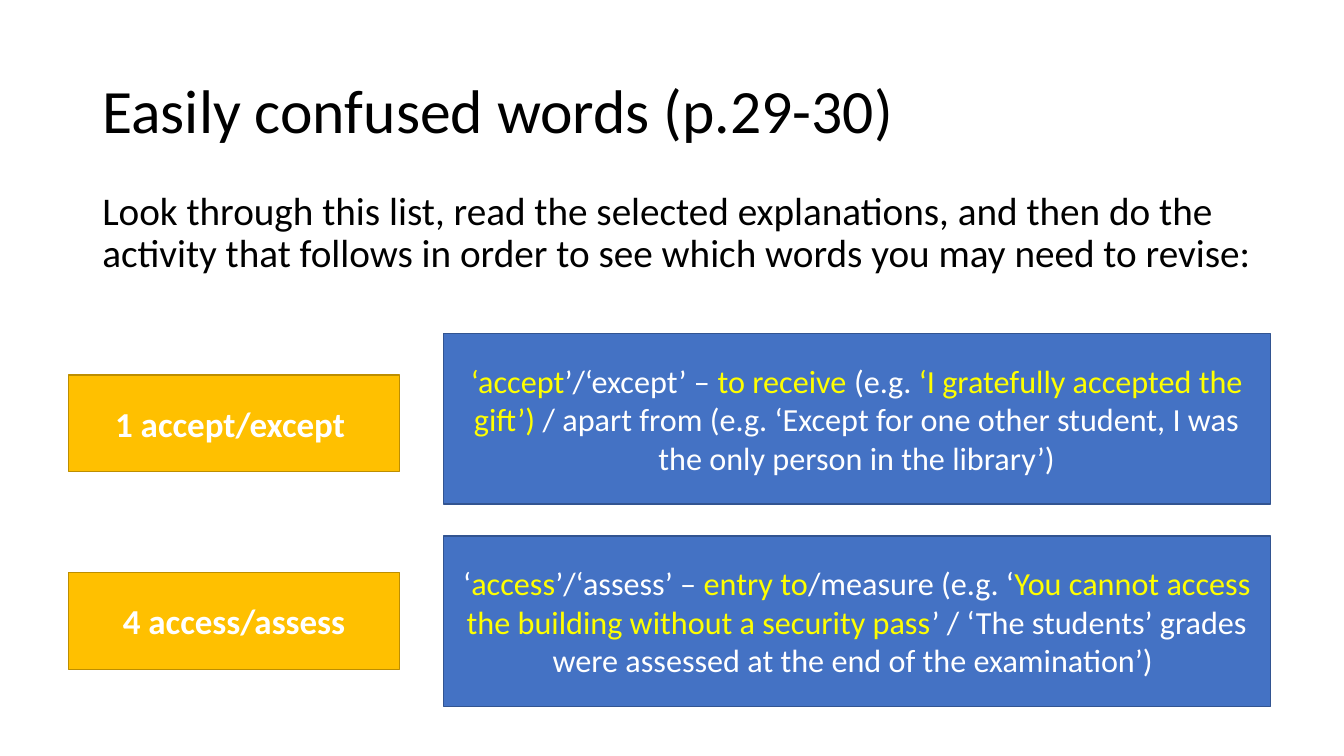
from pptx import Presentation
from pptx.dml.color import RGBColor
from pptx.enum.shapes import MSO_SHAPE
from pptx.enum.text import MSO_ANCHOR, PP_ALIGN
from pptx.util import Pt

RECTANGLE = MSO_SHAPE.RECTANGLE
TOP, MIDDLE = MSO_ANCHOR.TOP, MSO_ANCHOR.MIDDLE
LEFT, CENTER = PP_ALIGN.LEFT, PP_ALIGN.CENTER

FONT = "Calibri"
BLACK, WHITE, YELLOW = "000000", "FFFFFF", "FFFF00"
BLUE, DARK_BLUE = "4472C4", "325491"
AMBER, DARK_AMBER = "FFC000", "BD8E00"

# Each word pair: label, label top, explanation top, explanation runs
WORD_PAIRS = [
    ("1 accept/except ", 267.8, 238.3, [
        ("‘accept", YELLOW),
        ("’/‘except’ – ", WHITE),
        ("to receive ", YELLOW),
        ("(e.g. ", WHITE),
        ("‘I gratefully accepted the gift’) ", YELLOW),
        ("/ apart from (e.g. ‘Except for one other student, "
         "I was the only person in the library’)", WHITE),
    ]),
    ("4 access/assess", 409, 383, [
        ("‘", WHITE),
        ("access", YELLOW),
        ("’/‘assess’ – ", WHITE),
        ("entry to", YELLOW),
        ("/measure (e.g. ‘", WHITE),
        ("You cannot access the building without a security pass", YELLOW),
        ("’ / ‘The students’ grades were assessed at the end "
         "of the examination’) ", WHITE),
    ]),
]


def color(hex_value):
    """Turn a hex string into a colour."""
    return RGBColor.from_string(hex_value)


def write_runs(shape, runs, size, anchor, alignment, bold=False):
    """Fill a shape with one paragraph of (text, colour) runs."""
    frame = shape.text_frame
    frame.word_wrap = True
    frame.vertical_anchor = anchor
    paragraph = frame.paragraphs[0]
    paragraph.alignment = alignment
    for text, hex_value in runs:
        run = paragraph.add_run()
        run.text = text
        run.font.name = FONT
        run.font.size = Pt(size)
        run.font.bold = bold
        run.font.color.rgb = color(hex_value)
    return paragraph


def add_text(slide, box, text, size, anchor, space_before=0):
    """Add a left-aligned black text box with tight line spacing."""
    shape = slide.shapes.add_textbox(*map(Pt, box))
    paragraph = write_runs(shape, [(text, BLACK)], size, anchor, LEFT)
    paragraph.line_spacing = 0.9
    paragraph.space_before = Pt(space_before)


def add_panel(slide, box, fill, outline, runs, size, bold=False):
    """Add a filled rectangle with centred text."""
    shape = slide.shapes.add_shape(RECTANGLE, *map(Pt, box))
    shape.shadow.inherit = False
    shape.fill.solid()
    shape.fill.fore_color.rgb = color(fill)
    shape.line.color.rgb = color(outline)
    shape.line.width = Pt(1)
    write_runs(shape, runs, size, MIDDLE, CENTER, bold)


def main():
    """Build the slide and save it."""
    presentation = Presentation()
    presentation.slide_width = Pt(960)
    presentation.slide_height = Pt(540)
    slide = presentation.slides.add_slide(presentation.slide_layouts[6])

    add_text(slide, (66, 28.8, 828, 104.4),
             "Easily confused words (p.29-30)", 44, MIDDLE)
    add_text(slide, (66, 133.2, 873.4, 391),
             "Look through this list, read the selected explanations, and then "
             "do the activity that follows in order to see which words you may "
             "need to revise:", 28, TOP, space_before=10)

    for label, label_top, explanation_top, explanation in WORD_PAIRS:
        add_panel(slide, (317, explanation_top, 590.4, 121.7),
                  BLUE, DARK_BLUE, explanation, 23)
        add_panel(slide, (49, label_top, 236.2, 69.1),
                  AMBER, DARK_AMBER, [(label, WHITE)], 25, bold=True)

    presentation.save("out.pptx")


main()
